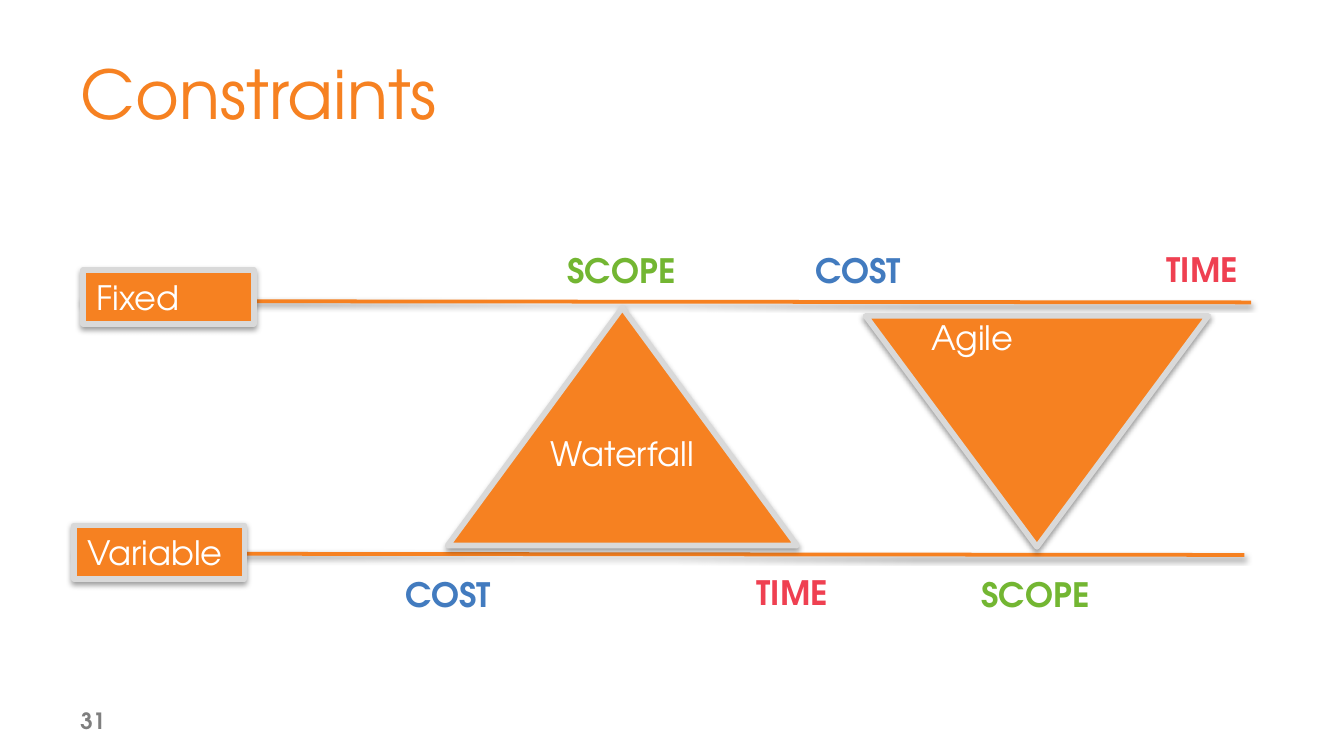
from dataclasses import dataclass

import pptx
import pptx.dml.color
import pptx.enum.shapes
import pptx.enum.text
import pptx.oxml
import pptx.oxml.ns
import pptx.util

Pt = pptx.util.Pt
RGB = pptx.dml.color.RGBColor.from_string
Shape = pptx.enum.shapes.MSO_SHAPE
Anchor = pptx.enum.text.MSO_ANCHOR
Align = pptx.enum.text.PP_ALIGN


@dataclass(frozen=True)
class Theme:
    font: str = "TeX Gyre Adventor"
    orange: str = "F68121"
    border: str = "D9D9D9"
    white: str = "FFFFFF"
    gray: str = "7F7F7F"
    cost: str = "427BBF"
    time: str = "EF4051"
    scope: str = "73B632"
    title_size: float = 36
    body_size: float = 18
    number_size: float = 12
    border_width: float = 3
    line_width: float = 2


@dataclass(frozen=True)
class Level:
    text: str
    box_left: float
    box_top: float
    line_left: float
    line_top: float


@dataclass(frozen=True)
class Triangle:
    left: float
    top: float
    width: float
    height: float
    rotation: float = 0
    text: str = ""


@dataclass(frozen=True)
class Label:
    text: str
    color: str
    left: float
    top: float
    bold: bool = True


THEME = Theme()
BOX_SIZE = (91.4, 28.8)
LABEL_SIZE = (103, 28.8)
LINE_RUN, LINE_DROP = 627.1, 0.7

LEVELS = [
    Level("Fixed", 44.6, 144.7, 43.2, 161.3),
    Level("Variable", 39.6, 281.5, 39.6, 296.6),
]
TRIANGLES = [
    Triangle(239.8, 164.9, 187.2, 127.4, text="Waterfall"),
    Triangle(463.7, 169.2, 183.6, 123.8, rotation=180),
]
LABELS = [
    Label("SCOPE", THEME.scope, 281.5, 130.3),
    Label("COST", THEME.cost, 408.2, 130.3),
    Label("TIME", THEME.time, 592.6, 129.6),
    Label("COST", THEME.cost, 188.6, 303.8),
    Label("TIME", THEME.time, 373, 303.1),
    Label("SCOPE", THEME.scope, 503.3, 303.8),
    # Upright caption of the inverted triangle
    Label("Agile", THEME.white, 469.5, 166.3, bold=False),
]


def write(shape, text: str, *, size: float = THEME.body_size,
          color: str = THEME.white, bold: bool = False,
          align=Align.LEFT, anchor=Anchor.TOP) -> None:
    frame = shape.text_frame
    frame.word_wrap = True
    frame.vertical_anchor = anchor
    paragraph = frame.paragraphs[0]
    paragraph.alignment = align
    run = paragraph.add_run()
    run.text = text
    run.font.name = THEME.font
    run.font.size = Pt(size)
    run.font.bold = bold
    run.font.color.rgb = RGB(color)


def add_text(slide, left: float, top: float, width: float, height: float,
             text: str, **text_format) -> None:
    box = slide.shapes.add_textbox(Pt(left), Pt(top), Pt(width), Pt(height))
    write(box, text, **text_format)


def soft_shadow():
    return pptx.oxml.parse_xml(
        f'<a:outerShdw {pptx.oxml.ns.nsdecls("a")} blurRad="{Pt(3.1)}" '
        f'dist="{Pt(1.6)}" dir="5400000" rotWithShape="0">'
        '<a:srgbClr val="000000"><a:alpha val="38000"/></a:srgbClr>'
        '</a:outerShdw>')


def add_solid(slide, kind, left: float, top: float,
              width: float, height: float):
    solid = slide.shapes.add_shape(kind, Pt(left), Pt(top), Pt(width), Pt(height))
    solid.fill.solid()
    solid.fill.fore_color.rgb = RGB(THEME.orange)
    solid.line.color.rgb = RGB(THEME.border)
    solid.line.width = Pt(THEME.border_width)
    solid.shadow.inherit = False
    effects = solid._element.spPr.find(pptx.oxml.ns.qn("a:effectLst"))
    effects.append(soft_shadow())
    return solid


def add_level_line(slide, level: Level) -> None:
    line = slide.shapes.add_connector(
        pptx.enum.shapes.MSO_CONNECTOR.STRAIGHT,
        Pt(level.line_left), Pt(level.line_top),
        Pt(level.line_left + LINE_RUN), Pt(level.line_top + LINE_DROP))
    line.line.color.rgb = RGB(THEME.orange)
    line.line.width = Pt(THEME.line_width)
    effects = pptx.oxml.parse_xml(
        f'<a:effectLst {pptx.oxml.ns.nsdecls("a")}/>')
    effects.append(soft_shadow())
    line._element.spPr.append(effects)


def add_triangle(slide, triangle: Triangle) -> None:
    solid = add_solid(slide, Shape.ISOSCELES_TRIANGLE, triangle.left,
                      triangle.top, triangle.width, triangle.height)
    solid.rotation = triangle.rotation
    if triangle.text:
        write(solid, triangle.text, align=Align.CENTER)


def main() -> None:
    deck = pptx.Presentation()
    deck.slide_width, deck.slide_height = Pt(720), Pt(405)
    slide = deck.slides.add_slide(deck.slide_layouts[6])

    # Title and slide number
    add_text(slide, 36, 16.6, 648, 58.3, "Constraints", size=THEME.title_size,
             color=THEME.orange, anchor=Anchor.BOTTOM)
    add_text(slide, 36, 375, 77, 21.6, "31", size=THEME.number_size,
             color=THEME.gray, bold=True, anchor=Anchor.MIDDLE)

    # Level lines, then the triangles between them
    for level in LEVELS:
        add_level_line(slide, level)
    for triangle in TRIANGLES:
        add_triangle(slide, triangle)

    # Level boxes
    for level in LEVELS:
        box = add_solid(slide, Shape.RECTANGLE, level.box_left, level.box_top,
                        *BOX_SIZE)
        write(box, level.text)

    # Corner labels and caption
    for label in LABELS:
        add_text(slide, label.left, label.top, *LABEL_SIZE, label.text,
                 color=label.color, bold=label.bold, align=Align.CENTER)

    deck.save("out.pptx")


if __name__ == "__main__":
    main()
